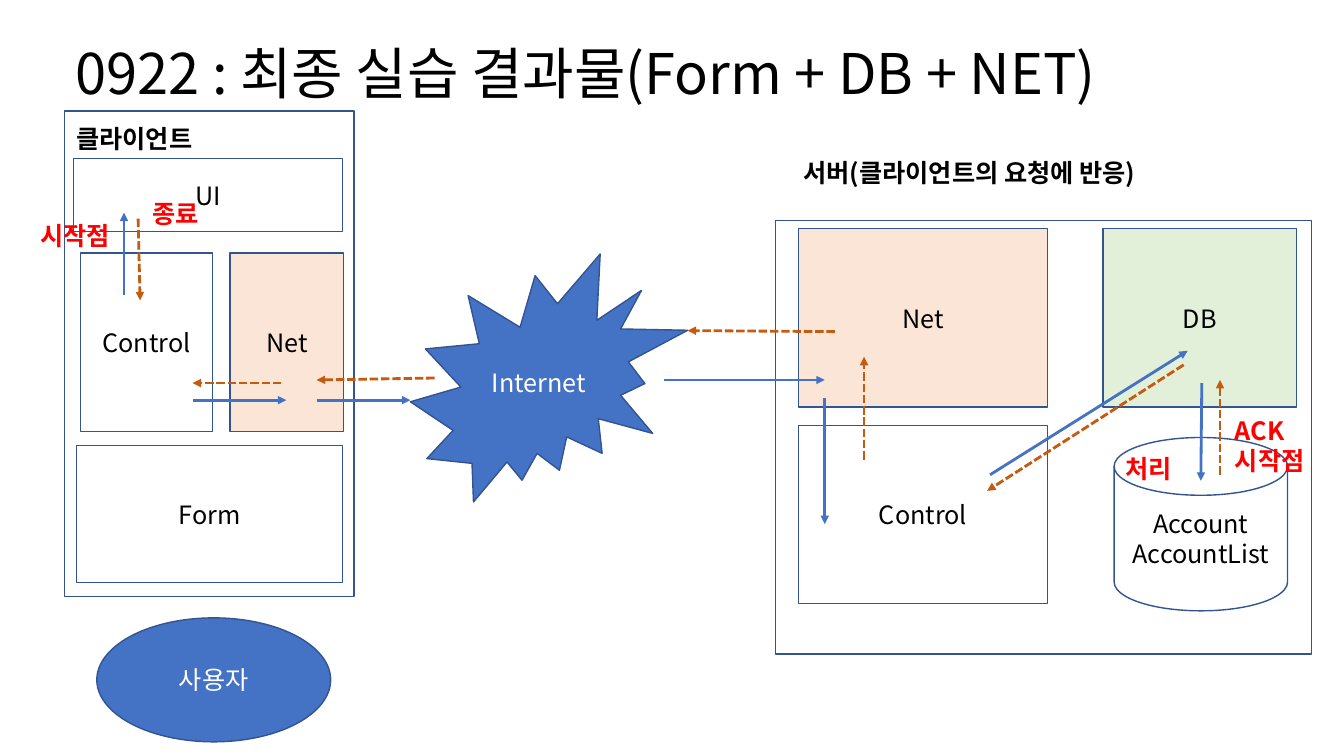
from dataclasses import dataclass
from typing import Optional

from lxml.etree import SubElement
from pptx import Presentation
from pptx.dml.color import RGBColor
from pptx.enum.dml import MSO_LINE
from pptx.enum.shapes import MSO_CONNECTOR, MSO_SHAPE as SHAPE
from pptx.enum.text import MSO_ANCHOR, MSO_AUTO_SIZE, PP_ALIGN
from pptx.oxml.ns import qn
from pptx.util import Emu, Pt

PX = 9144  # 100 px to the inch
FONT = "Noto Sans CJK KR"

BLACK = RGBColor(0x00, 0x00, 0x00)
WHITE = RGBColor(0xFF, 0xFF, 0xFF)
RED = RGBColor(0xFF, 0x00, 0x00)
BLUE = RGBColor(0x44, 0x72, 0xC4)
NAVY = RGBColor(0x32, 0x54, 0x91)
ORANGE = RGBColor(0xC5, 0x5A, 0x11)
PEACH = RGBColor(0xFB, 0xE5, 0xD6)
GREEN = RGBColor(0xE2, 0xF0, 0xD9)


@dataclass
class Node:
    box: tuple[int, int, int, int]
    text: str = ""
    fill: Optional[RGBColor] = None
    kind: SHAPE = SHAPE.RECTANGLE
    color: RGBColor = BLACK


@dataclass
class Label:
    box: tuple[int, int, int, int]
    text: str
    color: RGBColor = RED


@dataclass
class Arrow:
    start: tuple[int, int]
    end: tuple[int, int]


NODES = [
    # Server
    Node((769, 219, 532, 430)),
    Node((1105, 434, 172, 172), "Account\nAccountList", WHITE,
         SHAPE.FLOWCHART_MAGNETIC_DISK),
    Node((792, 422, 247, 177), "Control"),
    Node((1094, 227, 192, 177), "DB", GREEN),
    Node((792, 227, 247, 177), "Net", PEACH),
    # Network
    Node((407, 252, 275, 246), "Internet", BLUE, SHAPE.EXPLOSION2, WHITE),
    # Client
    Node((64, 110, 287, 482)),
    Node((73, 157, 267, 73), "UI"),
    Node((80, 251, 131, 177), "Control"),
    Node((228, 251, 113, 177), "Net", PEACH),
    Node((76, 442, 264, 136), "Form"),
    Node((96, 613, 232, 123), "사용자", BLUE, SHAPE.OVAL, WHITE),
]

LABELS = [
    Label((66, 117, 146, 40), "클라이언트", BLACK),
    Label((787, 151, 384, 40), "서버(클라이언트의 요청에 반응)", BLACK),
    Label((30, 214, 96, 40), "시작점"),
    Label((141, 192, 71, 40), "종료"),
    Label((1106, 445, 71, 40), "처리"),
    Label((1215, 407, 96, 71), "ACK\n시작점"),
]

REQUESTS = [
    Arrow((123, 293), (123, 211)),
    Arrow((191, 397), (284, 397)),
    Arrow((314, 397), (407, 397)),
    Arrow((659, 377), (818, 377)),
    Arrow((818, 395), (818, 520)),
    Arrow((982, 471), (1178, 348)),
    Arrow((1192, 380), (1191, 477)),
]

REPLIES = [
    Arrow((1210, 471), (1210, 377)),
    Arrow((1174, 362), (979, 487)),
    Arrow((857, 456), (857, 354)),
    Arrow((828, 329), (682, 328)),
    Arrow((431, 375), (314, 377)),
    Arrow((279, 380), (191, 380)),
    Arrow((137, 217), (139, 298)),
]


def px(*values: int) -> list[Emu]:
    return [Emu(v * PX) for v in values]


def write(tf, text: str, color: RGBColor, size: int = 18,
          bold: bool = False, align=PP_ALIGN.LEFT) -> None:
    for i, line in enumerate(text.split("\n")):
        p = tf.add_paragraph() if i else tf.paragraphs[0]
        p.alignment = align
        r = p.add_run()
        r.text = line
        r.font.size = Pt(size)
        r.font.bold = bold
        r.font.color.rgb = color
        r.font.name = FONT
        SubElement(r.font._element, qn("a:ea"), typeface=FONT)


def fit_to_text(tf) -> None:
    tf.word_wrap = False
    tf.auto_size = MSO_AUTO_SIZE.SHAPE_TO_FIT_TEXT
    tf.vertical_anchor = MSO_ANCHOR.TOP


def add_node(s, node: Node) -> None:
    sp = s.shapes.add_shape(node.kind, *px(*node.box))
    sp.shadow.inherit = False
    if node.fill is None:
        sp.fill.background()
    else:
        sp.fill.solid()
        sp.fill.fore_color.rgb = node.fill
    sp.line.color.rgb = NAVY
    sp.line.width = Pt(1)
    if node.text:
        sp.text_frame.vertical_anchor = MSO_ANCHOR.MIDDLE
        write(sp.text_frame, node.text, node.color, align=PP_ALIGN.CENTER)


def add_label(s, label: Label) -> None:
    tf = s.shapes.add_textbox(*px(*label.box)).text_frame
    fit_to_text(tf)
    write(tf, label.text, label.color, bold=True)


def add_arrow(s, arrow: Arrow, color: RGBColor, dashed: bool) -> None:
    c = s.shapes.add_connector(MSO_CONNECTOR.STRAIGHT,
                               *px(*arrow.start, *arrow.end))
    c.line.color.rgb = color
    c.line.width = Pt(2)
    if dashed:
        c.line.dash_style = MSO_LINE.SQUARE_DOT
    sp_pr = c.element.spPr
    SubElement(sp_pr.find(qn("a:ln")), qn("a:tailEnd"), type="triangle")
    SubElement(sp_pr, qn("a:effectLst"))


def main() -> None:
    prs = Presentation()
    prs.slide_width, prs.slide_height = px(1333, 750)
    s = prs.slides.add_slide(prs.slide_layouts[5])

    # Title
    title = s.shapes.title
    title.left, title.top, title.width, title.height = px(65, 33, 1126, 77)
    fit_to_text(title.text_frame)
    write(title.text_frame, "0922 : 최종 실습 결과물(Form + DB + NET)", BLACK, 40)

    # Diagram
    for node in NODES:
        add_node(s, node)
    for label in LABELS:
        add_label(s, label)
    for arrow in REQUESTS:
        add_arrow(s, arrow, BLUE, dashed=False)
    for arrow in REPLIES:
        add_arrow(s, arrow, ORANGE, dashed=True)

    prs.save("out.pptx")


if __name__ == "__main__":
    main()
